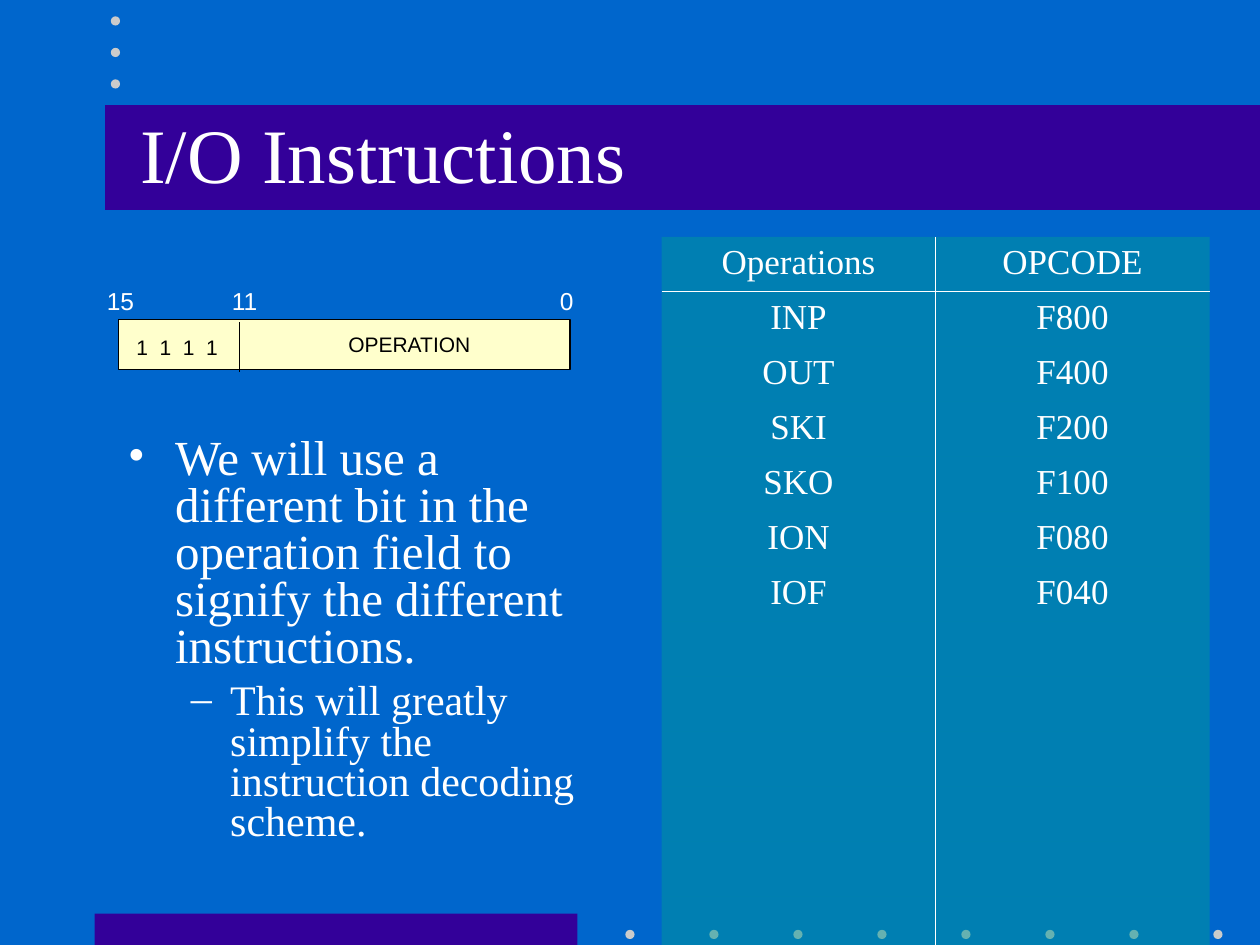
"""Build the I/O Instructions slide on a grid of 120 columns by 90 rows."""
from dataclasses import dataclass

from lxml.etree import SubElement
from pptx import Presentation
from pptx.dml.color import RGBColor
from pptx.enum.shapes import MSO_CONNECTOR as Connector, MSO_SHAPE as Preset
from pptx.enum.text import MSO_ANCHOR as Anchor, PP_ALIGN as Align
from pptx.oxml.ns import qn
from pptx.util import Inches, Pt

CELL = 1 / 12
COLORS = {
    "background": "0066CC",
    "bar": "330099",
    "dot": "CBCBCB",
    "table": "009999",
    "field": "FFFFCC",
    "white": "FFFFFF",
    "black": "000000",
}
SERIF, SANS = "Times New Roman", "Arial"
PLAIN_TABLE_STYLE = "{2D5ABB26-0587-4C30-8999-92F81FD0307C}"
OPCODES = [
    ("Operations", "OPCODE"),
    ("INP", "F800"),
    ("OUT", "F400"),
    ("SKI", "F200"),
    ("SKO", "F100"),
    ("ION", "F080"),
    ("IOF", "F040"),
]
TABLE_ROWS, ROW_HEIGHT = 13, 5.24


@dataclass(frozen=True)
class Box:
    column: float
    row: float
    columns: float
    rows: float

    def lengths(self) -> list:
        return [grid(value) for value in (self.column, self.row, self.columns, self.rows)]


@dataclass(frozen=True)
class Panel:
    box: Box
    color: str
    preset: Preset = Preset.RECTANGLE
    outline: str = ""


@dataclass(frozen=True)
class Label:
    text: str
    box: Box
    size: int
    color: str
    tracking: int = 0


@dataclass(frozen=True)
class Bullet:
    text: str
    mark: str
    level: int
    size: int
    margin: float
    hanging: float
    space_before: int


def dot(column: float, row: float) -> Panel:
    return Panel(Box(column - 0.44, row - 0.44, 0.88, 0.88), "dot", Preset.OVAL)


def bit_number(text: str, column: float) -> Label:
    return Label(text, Box(column, 26.7, 6.5, 4.1), 14, "white")


DECORATION = [
    Panel(Box(9, 87, 46, 3), "bar"),
    *[dot(60 + 8 * index, 89) for index in range(8)],
    Panel(Box(10, 10, 110, 10), "bar"),
    *[dot(11, 2 + 3 * index) for index in range(3)],
]
FIELD = Panel(Box(11.3, 30.4, 43, 4.8), "field", outline="black")
LABELS = [
    Label("1 1 1 1", Box(11.8, 31.25, 11, 3.6), 12, "black", 167),
    Label("OPERATION", Box(32, 31, 17, 3.6), 12, "black"),
    bit_number("0", 52.15),
    bit_number("11", 20.9),
    bit_number("15", 9),
]
BULLETS = [
    Bullet(
        "We will use a different bit in the operation field to signify the different instructions.",
        "•", 0, 28, 4.5, 4.5, 0,
    ),
    Bullet(
        "This will greatly simplify the instruction decoding scheme.",
        "–", 1, 24, 9.75, 3.75, 6,
    ),
]


def grid(value: float) -> int:
    return Inches(value * CELL)


def rgb(name: str) -> RGBColor:
    return RGBColor.from_string(COLORS[name])


def set_font(font, name: str, size: int, color: str) -> None:
    for attribute, value in {"name": name, "size": Pt(size), "bold": False}.items():
        setattr(font, attribute, value)
    font.color.rgb = rgb(color)


def add_panel(slide, panel: Panel) -> None:
    shape = slide.shapes.add_shape(panel.preset, *panel.box.lengths())
    shape.shadow.inherit = False
    shape.fill.solid()
    shape.fill.fore_color.rgb = rgb(panel.color)
    if panel.outline:
        shape.line.color.rgb = rgb(panel.outline)
        shape.line.width = Pt(0.75)
    else:
        shape.line.fill.background()


def add_label(slide, label: Label) -> None:
    frame = slide.shapes.add_textbox(*label.box.lengths()).text_frame
    frame.word_wrap = True
    run = frame.paragraphs[0].add_run()
    run.text = label.text
    set_font(run.font, SANS, label.size, label.color)
    if label.tracking:
        run.font._element.set("spc", str(label.tracking))


def add_divider(slide, column: float, top: float, bottom: float) -> None:
    line = slide.shapes.add_connector(
        Connector.STRAIGHT, grid(column), grid(top), grid(column), grid(bottom)
    )
    line.line.color.rgb = rgb("black")
    line.line.width = Pt(0.75)
    SubElement(line._element.spPr, qn("a:effectLst"))


def format_title(slide, text: str, box: Box) -> None:
    title = slide.shapes.title
    slide.shapes._spTree.append(title._element)
    for attribute, value in zip(("left", "top", "width", "height"), box.lengths()):
        setattr(title, attribute, value)
    title.text_frame.text = text
    title.text_frame.vertical_anchor = Anchor.MIDDLE
    title.text_frame.word_wrap = True
    paragraph = title.text_frame.paragraphs[0]
    paragraph.alignment = Align.CENTER
    set_font(paragraph.runs[0].font, SERIF, 44, "white")


def add_bullets(slide, box: Box, bullets: list[Bullet]) -> None:
    frame = slide.shapes.add_textbox(*box.lengths()).text_frame
    frame.word_wrap = True
    for index, bullet in enumerate(bullets):
        paragraph = frame.add_paragraph() if index else frame.paragraphs[0]
        run = paragraph.add_run()
        run.text = bullet.text
        set_font(run.font, SERIF, bullet.size, "white")
        formats = {
            "level": bullet.level,
            "line_spacing": 0.8,
            "space_before": Pt(bullet.space_before),
        }
        for attribute, value in formats.items():
            setattr(paragraph, attribute, value)
        properties = paragraph._p.get_or_add_pPr()
        properties.set("marL", str(grid(bullet.margin)))
        properties.set("indent", str(-grid(bullet.hanging)))
        SubElement(properties, qn("a:buFont"), typeface=SERIF)
        SubElement(properties, qn("a:buChar"), char=bullet.mark)


def set_borders(cell, visible: set[str]) -> None:
    for side in "LRTB":
        line = SubElement(cell._tc.get_or_add_tcPr(), qn(f"a:ln{side}"), w=str(Pt(0.45)))
        if side in visible:
            SubElement(SubElement(line, qn("a:solidFill")), qn("a:srgbClr"), val=COLORS["white"])
        else:
            SubElement(line, qn("a:noFill"))


def add_opcode_table(slide, box: Box) -> None:
    table = slide.shapes.add_table(TABLE_ROWS, 2, *box.lengths()).table
    table.first_row = table.horz_banding = False
    table._tbl.tblPr.find(qn("a:tableStyleId")).text = PLAIN_TABLE_STYLE
    for row in range(TABLE_ROWS):
        for column in range(2):
            cell = table.cell(row, column)
            set_borders(cell, {"RL"[column], {0: "B", 1: "T"}.get(row, "")})
            cell.fill.solid()
            cell.fill.fore_color.rgb = rgb("table")
            color = cell._tc.tcPr.find(f"{qn('a:solidFill')}/{qn('a:srgbClr')}")
            SubElement(color, qn("a:alpha"), val="50000")
            if row < len(OPCODES):
                cell.text = OPCODES[row][column]
                paragraph = cell.text_frame.paragraphs[0]
                paragraph.alignment = Align.CENTER
                set_font(paragraph.runs[0].font, SERIF, 20, "white")


def main() -> None:
    presentation = Presentation()
    presentation.slide_width, presentation.slide_height = grid(120), grid(90)
    slide = presentation.slides.add_slide(presentation.slide_layouts[5])
    slide.background.fill.solid()
    slide.background.fill.fore_color.rgb = rgb("background")
    for panel in DECORATION:
        add_panel(slide, panel)
    format_title(slide, "I/O Instructions", Box(10, 9, 53, 11))
    add_bullets(slide, Box(11, 41.1, 49, 45.9), BULLETS)
    add_opcode_table(slide, Box(63, 22.55, 52.2, TABLE_ROWS * ROW_HEIGHT))
    add_panel(slide, FIELD)
    add_divider(slide, 22.8, 30.7, 35.4)
    for label in LABELS:
        add_label(slide, label)
    presentation.save("out.pptx")


if __name__ == "__main__":
    main()
